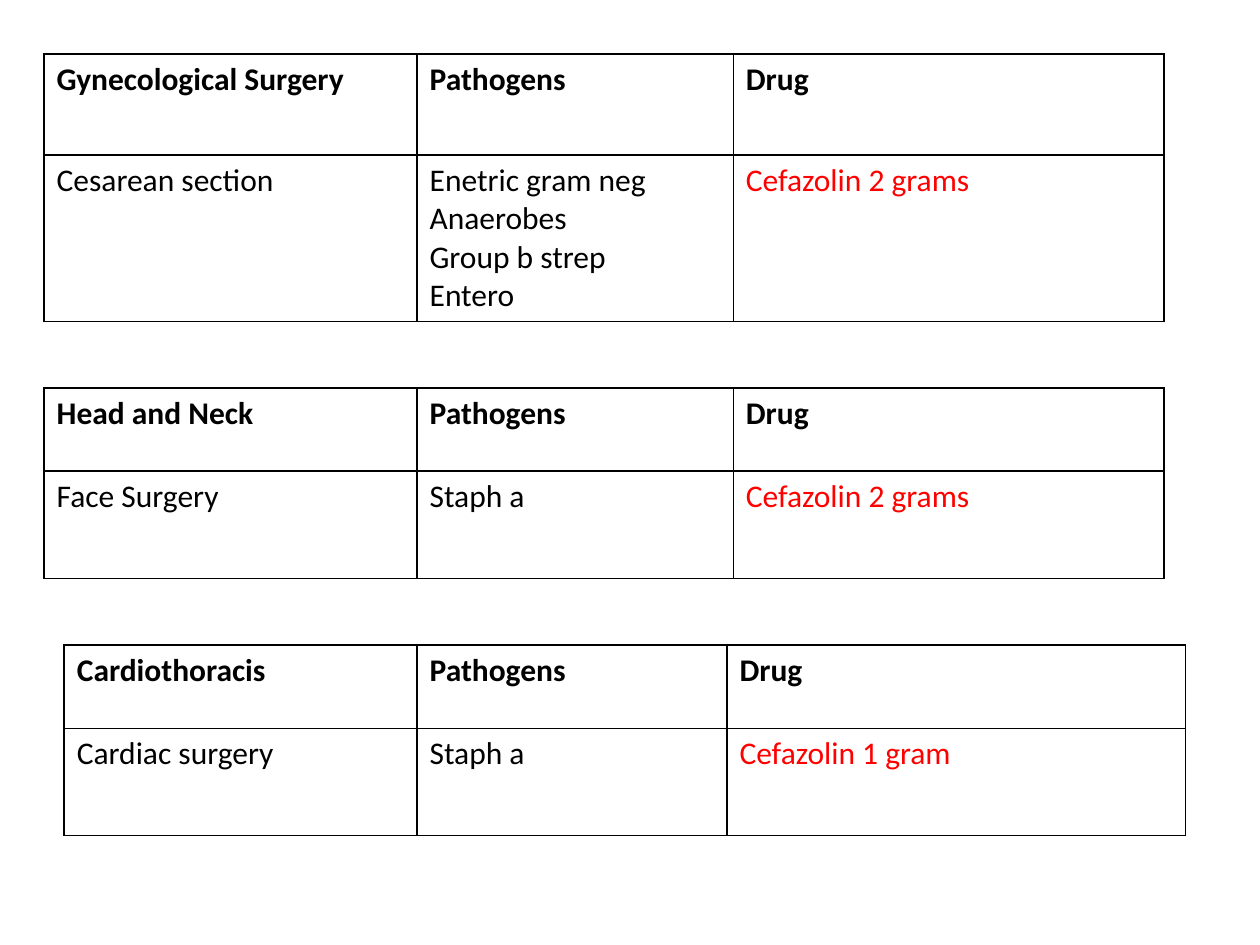
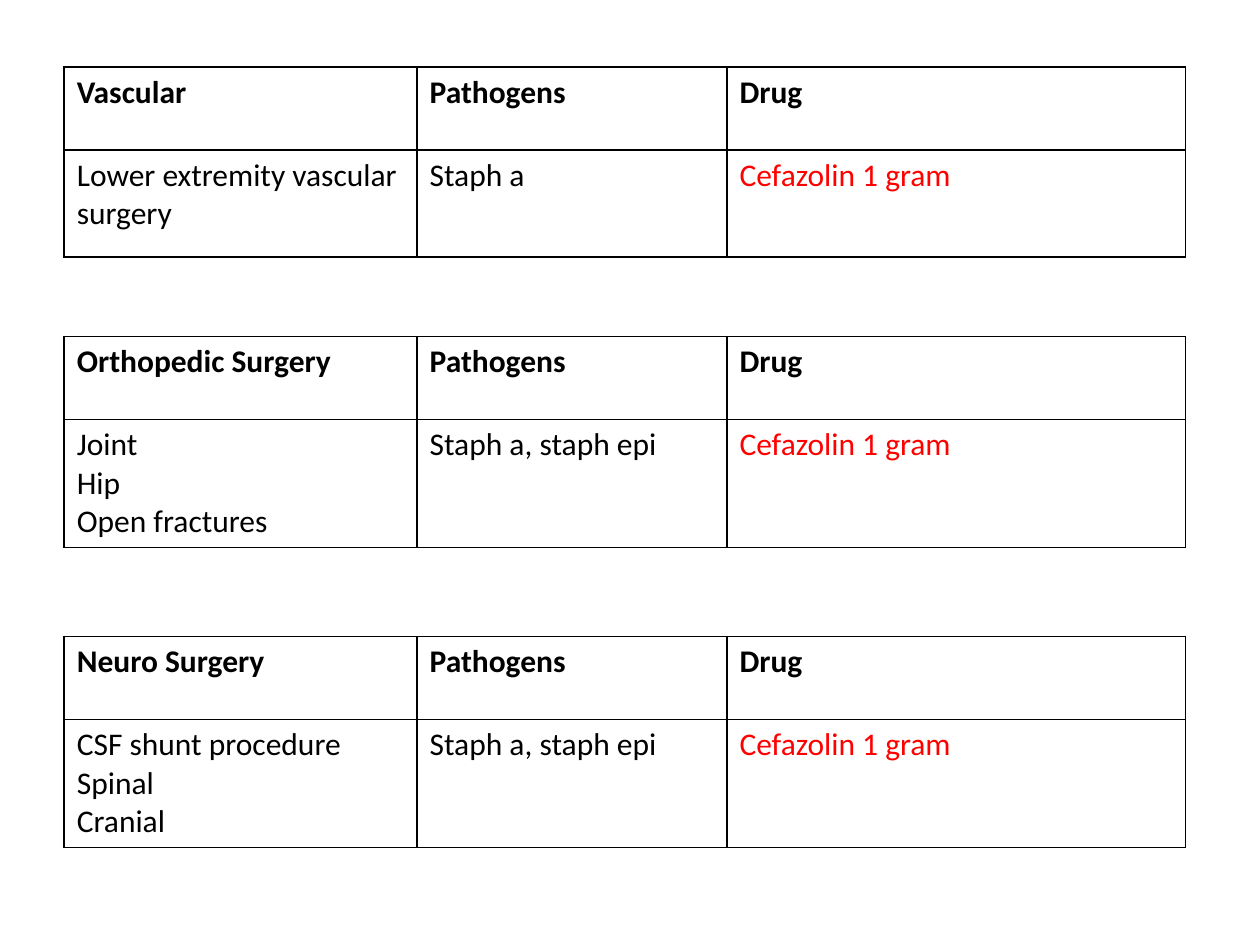
from lxml.etree import SubElement
from pptx import Presentation
from pptx.dml.color import RGBColor
from pptx.oxml.ns import qn
from pptx.util import Inches, Pt

WIDE_DRUG = {"left": 0.51, "columns": (2.8, 2.46, 3.64)}
WIDE_SURGERY = {"left": 0.35, "columns": (2.96, 2.51, 3.42)}

SLIDES = [
    [
        {"grid": WIDE_SURGERY, "top": 0.43, "rows": (0.8, 1.3),
         "specialty": "Gynecological Surgery",
         "procedures": ["Cesarean section"],
         "pathogens": ["Enetric gram neg", "Anaerobes", "Group b strep", "Entero"],
         "drug": "Cefazolin 2 grams"},
        {"grid": WIDE_SURGERY, "top": 3.08, "rows": (0.66, 0.85),
         "specialty": "Head and Neck",
         "procedures": ["Face Surgery"],
         "pathogens": ["Staph a"],
         "drug": "Cefazolin 2 grams"},
        {"grid": WIDE_DRUG, "top": 5.12, "rows": (0.66, 0.85),
         "specialty": "Cardiothoracis",
         "procedures": ["Cardiac surgery"],
         "pathogens": ["Staph a"],
         "drug": "Cefazolin 1 gram"},
    ],
    [
        {"grid": WIDE_DRUG, "top": 0.53, "rows": (0.66, 0.85),
         "specialty": "Vascular",
         "procedures": ["Lower extremity vascular surgery"],
         "pathogens": ["Staph a"],
         "drug": "Cefazolin 1 gram"},
        {"grid": WIDE_DRUG, "top": 2.67, "rows": (0.66, 1),
         "specialty": "Orthopedic Surgery",
         "procedures": ["Joint", "Hip", "Open fractures"],
         "pathogens": ["Staph a, staph epi"],
         "drug": "Cefazolin 1 gram"},
        {"grid": WIDE_DRUG, "top": 5.05, "rows": (0.66, 1),
         "specialty": "Neuro Surgery",
         "procedures": ["CSF shunt procedure", "Spinal", "Cranial"],
         "pathogens": ["Staph a, staph epi"],
         "drug": "Cefazolin 1 gram"},
    ],
]

BLACK = RGBColor(0x00, 0x00, 0x00)
RED = RGBColor(0xFF, 0x00, 0x00)
TEXT_FORMAT = {"name": "Calibri", "size": Pt(18)}
PLAIN_TABLE = {"first_row": False, "horz_banding": False}
BLANK_LAYOUT = 6


def apply_format(target, values):
    for name, value in values.items():
        setattr(target, name, value)


def add_borders(cell):
    properties = cell._tc.get_or_add_tcPr()
    for side in ("lnL", "lnR", "lnT", "lnB"):
        line = SubElement(properties, qn(f"a:{side}"), w=str(Pt(1)))
        fill = SubElement(line, qn("a:solidFill"))
        SubElement(fill, qn("a:srgbClr"), val=str(BLACK))


def fill_cell(cell, lines, bold, color):
    add_borders(cell)
    cell.fill.background()
    cell.text = "\n".join(lines)
    for paragraph in cell.text_frame.paragraphs:
        for run in paragraph.runs:
            apply_format(run.font, TEXT_FORMAT | {"bold": bold})
            run.font.color.rgb = color


def add_regimen_table(slide, regimen):
    grid, heights = regimen["grid"], regimen["rows"]
    widths = grid["columns"]
    content = [
        [[regimen["specialty"]], ["Pathogens"], ["Drug"]],
        [regimen["procedures"], regimen["pathogens"], [regimen["drug"]]],
    ]
    box = (grid["left"], regimen["top"], sum(widths), sum(heights))
    table = slide.shapes.add_table(
        len(heights), len(widths), *map(Inches, box)).table
    apply_format(table, PLAIN_TABLE)
    for column, width in zip(table.columns, widths):
        column.width = Inches(width)
    for row, height in zip(table.rows, heights):
        row.height = Inches(height)
    for row_index, row in enumerate(content):
        for column_index, lines in enumerate(row):
            is_header = row_index == 0
            is_drug = column_index == len(widths) - 1
            color = RED if is_drug and not is_header else BLACK
            fill_cell(table.cell(row_index, column_index), lines, is_header, color)


def main():
    presentation = Presentation()
    apply_format(presentation, {"slide_width": Inches(10), "slide_height": Inches(7.5)})
    for regimens in SLIDES:
        slide = presentation.slides.add_slide(presentation.slide_layouts[BLANK_LAYOUT])
        for regimen in regimens:
            add_regimen_table(slide, regimen)
    presentation.save("out.pptx")


if __name__ == "__main__":
    main()
